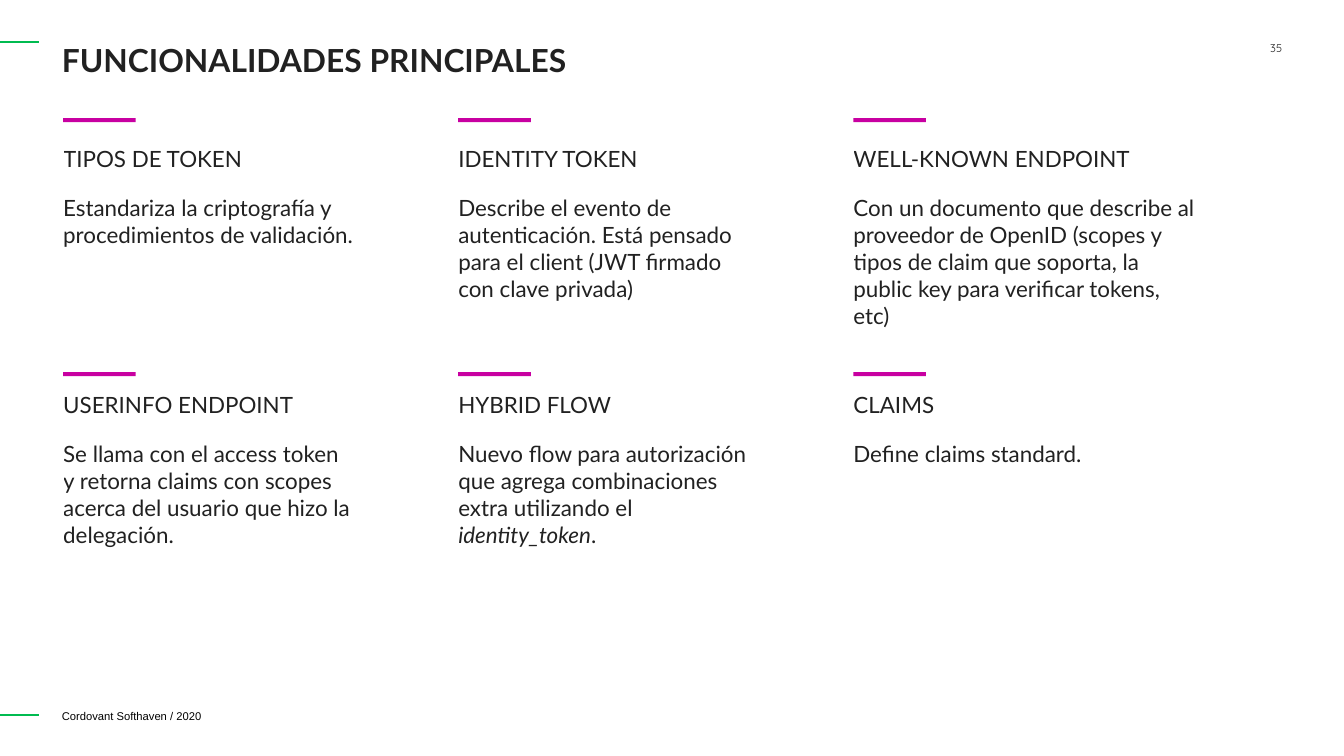
from pptx import Presentation
from pptx import util as u
from pptx.dml.color import RGBColor
from pptx.enum import shapes, text
from pptx.oxml import parse_xml
from pptx.oxml.ns import nsdecls

COLORS = {"ink": "212121", "black": "000000", "accent": "C800A1", "edge": "00BB50"}
WIDTH = 10
HEIGHT = WIDTH * 9 / 16
LEFT, PITCH = 0.47, 2.94
COLUMNS = ({"width": 2.76, "indent": 0.5}, {"width": 2.73, "indent": 0.4},
           {"width": 3.08, "indent": 0.4})
ROWS = ({"bar": 0.88, "text": 1.08}, {"bar": 2.77, "text": 2.91})
CARD_HEIGHT = 1.52
TITLE = {"name": "Lato", "size": u.Pt(17), "bold": True}
BODY = {"name": "Lato", "size": u.Pt(12), "bold": False}
FOOTER = {"name": "Arial", "size": u.Pt(6)}
NUMBER = {"name": "Quicksand", "size": u.Pt(6)}
CARDS = (
    (
        ("TIPOS DE TOKEN", ["Estandariza la criptografía y procedimientos de validación."]),
        ("IDENTITY TOKEN", ["Describe el evento de autenticación. Está pensado para el client "
                            "(JWT firmado con clave privada)"]),
        ("WELL-KNOWN ENDPOINT", ["Con un documento que describe al proveedor de OpenID (scopes y "
                                 "tipos de claim que soporta, la public key para verificar "
                                 "tokens, etc)"]),
    ),
    (
        ("USERINFO ENDPOINT", ["Se llama con el access token y retorna claims con scopes acerca "
                               "del usuario que hizo la delegación."]),
        ("HYBRID FLOW", ["Nuevo flow para autorización que agrega combinaciones extra "
                         "utilizando el ", "identity_token", "."]),
        ("CLAIMS", ["Define claims standard."]),
    ),
)


def inches(*lengths):
    """Turn numbers into slide lengths."""
    return [u.Inches(length) for length in lengths]


def set_values(target, values):
    """Set each named attribute on the target."""
    for name, value in values.items():
        setattr(target, name, value)


def add_span(para, words, style, color="ink", italic=False):
    """Add a formatted run to a paragraph."""
    span = para.add_run()
    span.text = words
    set_values(span.font, {**style, "italic": italic})
    span.font.color.rgb = RGBColor.from_string(COLORS[color])


def fill_frame(box, words, style, color="ink", anchor=text.MSO_ANCHOR.TOP,
               align=text.PP_ALIGN.LEFT):
    """Write one line in a box without margins."""
    frame = box.text_frame
    set_values(frame, {"margin_left": 0, "margin_top": 0, "margin_right": 0, "margin_bottom": 0,
                       "word_wrap": True, "auto_size": text.MSO_AUTO_SIZE.NONE,
                       "vertical_anchor": anchor})
    para = frame.paragraphs[0]
    set_values(para, {"alignment": align, "line_spacing": 1.0, "space_before": u.Pt(0)})
    add_span(para, words, style, color)


def add_title(page, words):
    """Place and write the slide title."""
    title = page.shapes.title
    set_values(title, dict(zip(("left", "top", "width", "height"), inches(0.46, 0.3, 9.08, 0.4))))
    fill_frame(title, words, TITLE)


def add_edge_line(page, top):
    """Draw a short line from the left edge of the slide."""
    line = page.shapes.add_connector(shapes.MSO_CONNECTOR.STRAIGHT, *inches(0, top, 0.29, top))
    line.line.color.rgb = RGBColor.from_string(COLORS["edge"])
    line.line.width = u.Pt(1)
    line._element.spPr.append(parse_xml(f"<a:effectLst {nsdecls('a')}/>"))


def add_bar(page, left, top):
    """Draw the accent bar above a card."""
    bar = page.shapes.add_shape(shapes.MSO_SHAPE.RECTANGLE, *inches(left, top, 0.54, 0.03))
    bar.shadow.inherit = False
    bar.fill.solid()
    bar.fill.fore_color.rgb = RGBColor.from_string(COLORS["accent"])
    bar.line.fill.background()


def add_card(page, left, top, column, heading, parts):
    """Add a one-cell table with a heading and a description."""
    frame = page.shapes.add_table(1, 1, *inches(left, top, column["width"], CARD_HEIGHT))
    set_values(frame.table, {"first_row": False, "horz_banding": False})
    cell = frame.table.cell(0, 0)
    cell.fill.background()
    set_values(cell, {"margin_left": 0, "margin_top": 0, "margin_right": u.Inches(0.1),
                      "margin_bottom": 0, "vertical_anchor": text.MSO_ANCHOR.TOP})
    add_span(cell.text_frame.paragraphs[0], heading, BODY)
    para = cell.text_frame.add_paragraph()
    para.space_before = u.Pt(12)
    para._p.get_or_add_pPr().set("marR", str(u.Inches(column["indent"])))
    for index, words in enumerate(parts):
        add_span(para, words, BODY, italic=index == 1)


def main():
    """Build the slide and save the deck."""
    deck = Presentation()
    deck.slide_width, deck.slide_height = inches(WIDTH, HEIGHT)
    page = deck.slides.add_slide(deck.slide_layouts[5])
    add_title(page, "FUNCIONALIDADES PRINCIPALES")
    for top in (0.31, 5.32):
        add_edge_line(page, top)
    footer = page.shapes.add_textbox(*inches(0.46, 5.25, 2.22, 0.16))
    fill_frame(footer, "Cordovant Softhaven / 2020", FOOTER, "black", text.MSO_ANCHOR.MIDDLE)
    number = page.shapes.add_textbox(*inches(8.94, 0.31, 0.6, 0.43))
    fill_frame(number, "35", NUMBER, align=text.PP_ALIGN.RIGHT)
    for row, cards in zip(ROWS, CARDS):
        for index, (column, (heading, parts)) in enumerate(zip(COLUMNS, cards)):
            left = LEFT + index * PITCH
            add_bar(page, left, row["bar"])
            add_card(page, left, row["text"], column, heading, parts)
    deck.save("out.pptx")


if __name__ == "__main__":
    main()
